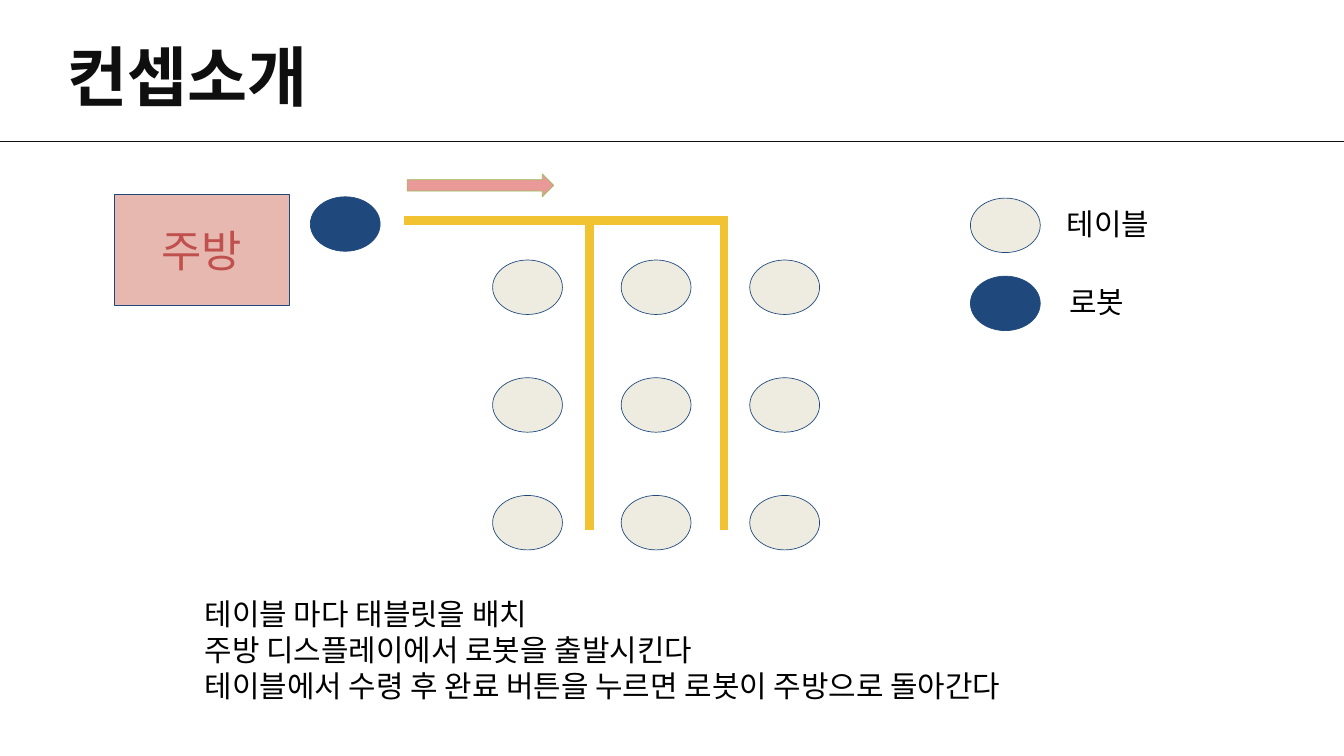
from pptx import Presentation
from pptx import util as u
from pptx.dml.color import RGBColor
from pptx.enum import shapes, text
from pptx.oxml.ns import qn
from lxml import etree

COLORS = {
    "title": "0F0F0F",
    "body": "000000",
    "table": "EEECE1",
    "robot": "1F497D",
    "outline": "1F497D",
    "kitchen": "E6B8AF",
    "kitchen_label": "C0504D",
    "route": "F1C232",
    "arrow": "EA9999",
    "arrow_outline": "9BBB59",
}
MARKER_SIZE = (2.64, 2.06)


class SlideBuilder:
    heading_font = "Roboto"
    body_font = "Calibri"
    inset = 0.25

    def __init__(self, slide):
        self.slide = slide

    def color(self, name):
        return RGBColor.from_string(COLORS[name])

    def fill_text(self, frame, lines, size, color, font=None, bold=False,
                  align=text.PP_ALIGN.LEFT, anchor=text.MSO_ANCHOR.TOP,
                  inset=inset, spacing=None):
        frame.text = "\n".join(lines)
        frame.word_wrap = True
        frame.vertical_anchor = anchor
        frame.margin_left = frame.margin_right = u.Cm(inset)
        frame.margin_top = frame.margin_bottom = u.Cm(inset)
        for paragraph in frame.paragraphs:
            paragraph.alignment = align
            paragraph.line_spacing = spacing
            for run in paragraph.runs:
                run.font.name = font or self.body_font
                run.font.size = u.Pt(size)
                run.font.bold = bold
                run.font.color.rgb = self.color(color)

    def title(self, words, left, top, width, height):
        heading = self.slide.shapes.title
        heading.left, heading.top = u.Cm(left), u.Cm(top)
        heading.width, heading.height = u.Cm(width), u.Cm(height)
        self.fill_text(heading.text_frame, [words], 70, "title",
                       font=self.heading_font, bold=True, inset=0, spacing=0.7)
        heading.text_frame.auto_size = text.MSO_AUTO_SIZE.SHAPE_TO_FIT_TEXT

    def label(self, lines, left, top, width, height):
        box = self.slide.shapes.add_textbox(
            u.Cm(left), u.Cm(top), u.Cm(width), u.Cm(height))
        self.fill_text(box.text_frame, lines, 32, "body")

    def shape(self, kind, left, top, width, height, fill, outline="outline"):
        figure = self.slide.shapes.add_shape(
            kind, u.Cm(left), u.Cm(top), u.Cm(width), u.Cm(height))
        figure.shadow.inherit = False
        figure.fill.solid()
        figure.fill.fore_color.rgb = self.color(fill)
        figure.line.color.rgb = self.color(outline)
        figure.line.width = u.Pt(0.75)
        return figure

    def marker(self, left, top, fill):
        self.shape(shapes.MSO_SHAPE.OVAL, left, top, *MARKER_SIZE, fill)

    def line(self, x1, y1, x2, y2, color, width):
        stroke = self.slide.shapes.add_connector(
            shapes.MSO_CONNECTOR.STRAIGHT,
            u.Cm(x1), u.Cm(y1), u.Cm(x2), u.Cm(y2))
        stroke.line.color.rgb = self.color(color)
        stroke.line.width = u.Pt(width)
        etree.SubElement(stroke._element.spPr, qn("a:effectLst"))


def main():
    deck = Presentation()
    deck.slide_width, deck.slide_height = u.Cm(50.8), u.Cm(28.58)
    builder = SlideBuilder(deck.slides.add_slide(deck.slide_layouts[5]))

    builder.line(0, 5.33, 50.8, 5.33, "title", 0.75)
    builder.title("컨셉소개", 2.54, 2.18, 13.56, 1.73)
    builder.label([
        "테이블 마다 태블릿을 배치",
        "주방 디스플레이에서 로봇을 출발시킨다",
        "테이블에서 수령 후 완료 버튼을 누르면 로봇이 주방으로 돌아간다",
    ], 7.49, 22.28, 33.43, 6.88)

    for row in range(3):
        for column in range(3):
            builder.marker(18.62 + 4.86 * column, 9.83 + 4.45 * row, "table")

    legend = [("테이블", "table", 7.49, 40.08), ("로봇", "robot", 10.44, 40.16)]
    for name, fill, top, label_left in legend:
        builder.marker(36.68, top, fill)
        builder.label([name], label_left, top + 0.05, 5.23, 2.36)

    kitchen = builder.shape(shapes.MSO_SHAPE.RECTANGLE,
                            4.32, 7.34, 6.63, 4.22, "kitchen")
    builder.fill_text(kitchen.text_frame, ["주방"], 47, "kitchen_label",
                      align=text.PP_ALIGN.CENTER, anchor=text.MSO_ANCHOR.MIDDLE)
    builder.marker(11.73, 7.44, "robot")

    builder.line(15.27, 8.33, 27.53, 8.33, "route", 9)
    for aisle in (27.36, 22.28):
        builder.line(aisle, 8.28, aisle, 20.02, "route", 9)
    builder.shape(shapes.MSO_SHAPE.RIGHT_ARROW,
                  15.39, 6.58, 5.54, 0.86, "arrow", "arrow_outline")

    deck.save("out.pptx")


if __name__ == "__main__":
    main()
